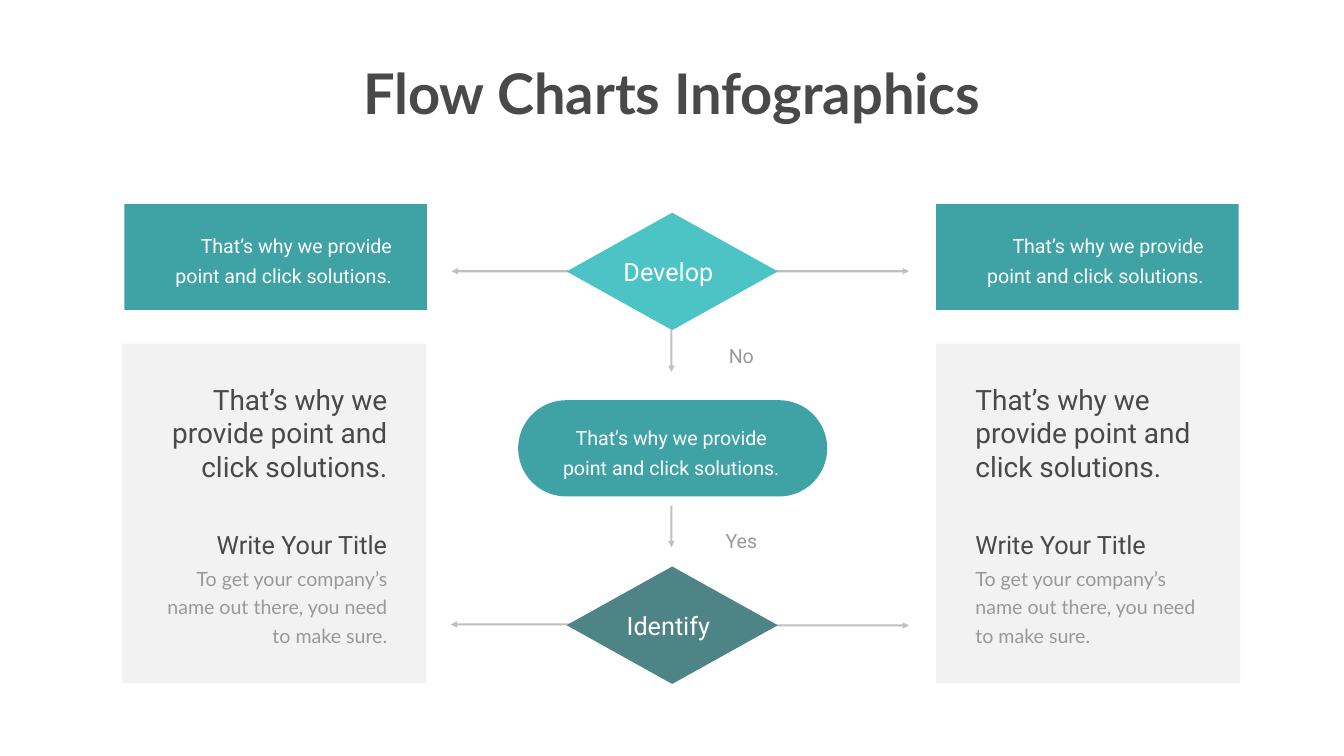
from lxml import etree
from pptx import Presentation
from pptx.dml.color import RGBColor
from pptx.enum.shapes import MSO_CONNECTOR as Connector, MSO_SHAPE as Preset
from pptx.enum.text import MSO_AUTO_SIZE as AutoSize, PP_ALIGN as Align
from pptx.oxml.ns import qn
from pptx.util import Cm, Pt

COLORS = {
    "teal": "3FA2A5",
    "aqua": "4CC3C5",
    "slate": "4F8487",
    "gray": "808080",
    "dark": "494949",
    "muted": "999999",
    "white": "FFFFFF",
}
SOLUTION = "That’s why we provide point and click solutions."
COMPANY = "To get your company’s name out there, you need to make sure."


class FlowSlide:
    """Style and drawing methods for one slide."""

    font = "Roboto"

    def __init__(self, slide):
        self.slide = slide

    def paint(self, fill, color, opacity=100):
        fill.solid()
        fill.fore_color.rgb = RGBColor.from_string(COLORS[color])
        if opacity < 100:
            hue = fill._xPr.find(".//" + qn("a:srgbClr"))
            etree.SubElement(hue, qn("a:alpha"), val=str(opacity * 1000))

    def shape(self, preset, left, top, width, height, color, opacity=100):
        shape = self.slide.shapes.add_shape(
            preset, Cm(left), Cm(top), Cm(width), Cm(height))
        shape.shadow.inherit = False
        shape.line.fill.background()
        self.paint(shape.fill, color, opacity)
        return shape

    def text(self, words, left, top, width, height, size, color="white",
             align=Align.CENTER, spacing=None, font=None, bold=False, wrap=True):
        box = self.slide.shapes.add_textbox(
            Cm(left), Cm(top), Cm(width), Cm(height))
        frame = box.text_frame
        frame.word_wrap = wrap
        frame.auto_size = AutoSize.SHAPE_TO_FIT_TEXT
        paragraph = frame.paragraphs[0]
        paragraph.alignment = align
        if spacing:
            paragraph.line_spacing = Pt(spacing)
        run = paragraph.add_run()
        run.text = words
        run.font.name = font or self.font
        run.font.size = Pt(size)
        run.font.bold = bold
        run.font.color.rgb = RGBColor.from_string(COLORS[color])

    def arrow(self, x1, y1, x2, y2):
        arrow = self.slide.shapes.add_connector(
            Connector.STRAIGHT, Cm(x1), Cm(y1), Cm(x2), Cm(y2))
        arrow.line.width = Pt(3)
        self.paint(arrow.line.fill, "gray", 50)
        properties = arrow._element.spPr
        etree.SubElement(properties.find(qn("a:ln")), qn("a:tailEnd"), type="triangle")
        etree.SubElement(properties, qn("a:effectLst"))

    def solution(self, left, top, align):
        self.text(SOLUTION, left, top, 12.22, 3.18, 28, align=align, spacing=43)

    def decision(self, label, top, color):
        left = 28.55
        self.shape(Preset.DIAMOND, left, top, 10.64, 5.92, color)
        self.text(label, left + 0.81, top + 2.08, 8.64, 1.8, 36)

    def banner(self, left):
        top = 10.29
        self.shape(Preset.RECTANGLE, left, top, 15.24, 5.33, "teal")
        self.solution(left + 1.5, top + 1.04, Align.RIGHT)

    def card(self, left, text_edge, align):
        """Gray panel whose texts share one edge, on the side they align to."""
        self.shape(Preset.RECTANGLE, left, 17.32, 15.32, 17.12, "gray", 10)
        rows = [
            (SOLUTION, 19.13, 13.49, 5.38, 40, "dark", None, "Roboto"),
            ("Write Your Title", 26.54, 14.53, 1.8, 36, "dark", None, "Roboto"),
            (COMPANY, 28.19, 12.57, 4.5, 28, "muted", 40.8, "Lato"),
        ]
        for words, top, width, height, size, color, spacing, font in rows:
            text_left = text_edge - width if align == Align.RIGHT else text_edge
            self.text(words, text_left, top, width, height, size, color,
                      align, spacing, font)


def main():
    presentation = Presentation()
    presentation.slide_width = Cm(67.72)
    presentation.slide_height = Cm(38.1)
    flow = FlowSlide(presentation.slides.add_slide(presentation.slide_layouts[6]))

    # Title
    flow.text("Flow Charts Infographics", 17.73, 2.84, 32.26, 3.68, 80, "dark",
              font="Lato", bold=True, wrap=False)

    # Arrows, behind the decisions
    center = 33.83
    for x1, y1, x2, y2 in [
        (28.65, 13.67, 22.76, 13.67),
        (39.07, 13.67, 45.8, 13.67),
        (29.49, 31.47, 22.71, 31.47),
        (39.07, 31.52, 45.8, 31.52),
        (center, 16.64, center, 18.75),
        (center, 25.48, center, 27.58),
    ]:
        flow.arrow(x1, y1, x2, y2)

    # Central flow
    flow.decision("Develop", 10.72, "aqua")
    pill = flow.shape(Preset.ROUNDED_RECTANGLE, 26.11, 20.17, 15.57, 4.85, "teal")
    pill.adjustments[0] = 0.5
    flow.solution(27.71, 21.01, Align.CENTER)
    flow.decision("Identify", 28.55, "slate")
    for answer, top in [("No", 17.22), ("Yes", 26.52)]:
        flow.text(answer, 36.02, top, 2.67, 1.45, 28, "muted")

    # Side columns
    for left in (6.27, 47.17):
        flow.banner(left)
    flow.card(6.17, 19.76, Align.RIGHT)
    flow.card(47.17, 48.9, Align.LEFT)

    presentation.save("out.pptx")


if __name__ == "__main__":
    main()
